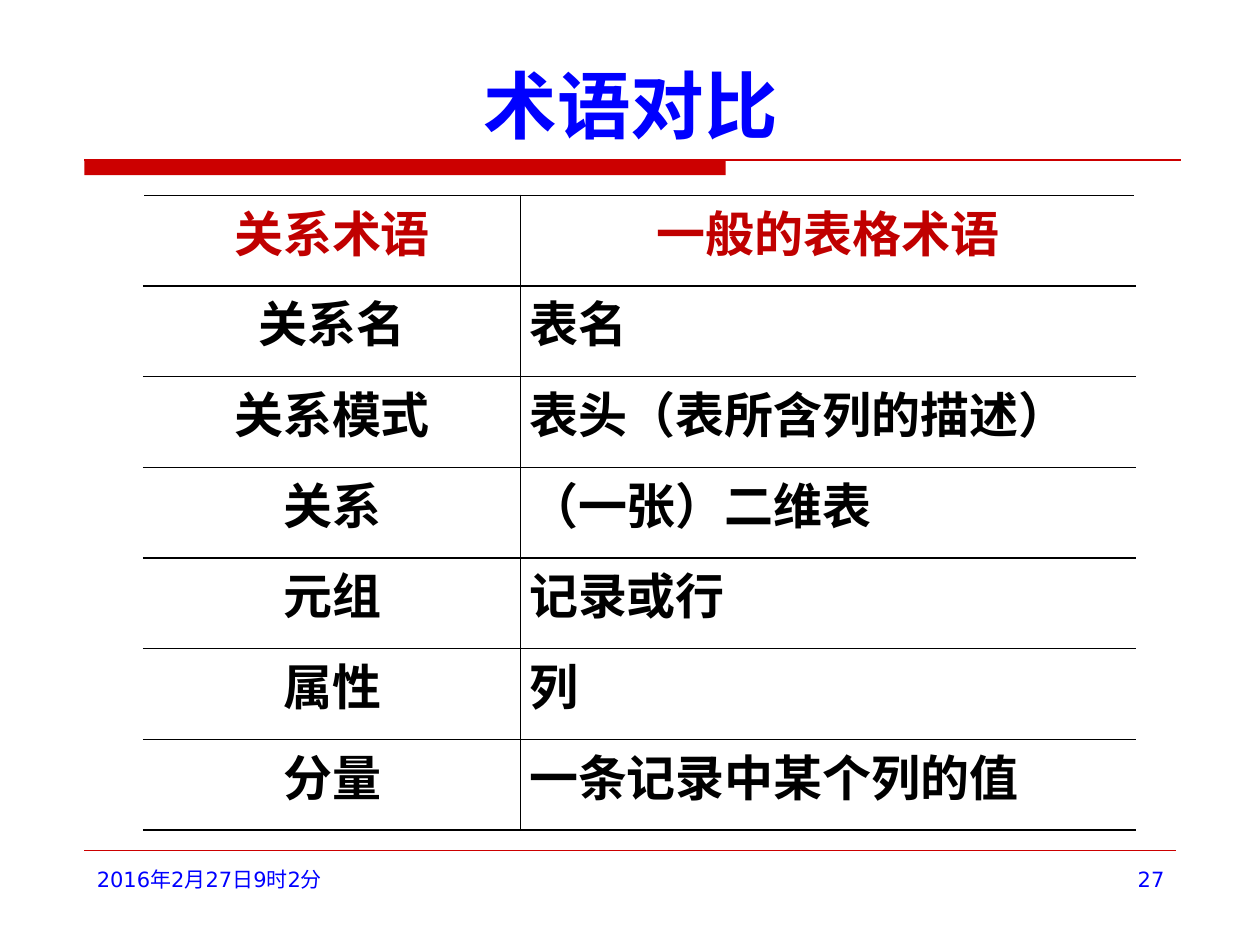
import pptx
import pptx.util
import pptx.dml.color
import pptx.enum.text
import pptx.enum.shapes
import pptx.oxml.ns
from lxml import etree

Inches, Pt = pptx.util.Inches, pptx.util.Pt
RGB = pptx.dml.color.RGBColor.from_string
ALIGN = pptx.enum.text.PP_ALIGN
ANCHOR = pptx.enum.text.MSO_ANCHOR
qn = pptx.oxml.ns.qn

COLORS = {"rule": "CC0000", "title": "0000FF", "head": "C00000", "body": "000000"}
CJK = "Noto Sans CJK SC"


def style(p, size, font, color, bold, align):
    p.alignment = align
    p.font.size = Pt(size)
    p.font.name = font
    p.font.bold = bold
    p.font.color.rgb = RGB(COLORS[color])
    latin = p.font._element.find(qn("a:latin"))
    ea = etree.Element(qn("a:ea"), typeface=CJK)
    latin.addnext(ea)


def border(cell, sides):
    tcPr = cell._tc.get_or_add_tcPr()
    for i, side in enumerate(sides):
        ln = etree.Element(qn("a:ln" + side), w=str(Pt(1)))
        fill = etree.SubElement(ln, qn("a:solidFill"))
        etree.SubElement(fill, qn("a:srgbClr"), val=COLORS["body"])
        tcPr.insert(i, ln)


prs = pptx.Presentation()
prs.slide_width, prs.slide_height = Inches(10), Inches(7.5)
s = prs.slides.add_slide(prs.slide_layouts[5])

bar = s.shapes.add_shape(pptx.enum.shapes.MSO_SHAPE.RECTANGLE,
                         Inches(0.67), Inches(1.27), Inches(5.09), Inches(0.12))
bar.shadow.inherit = False
bar.fill.solid()
bar.fill.fore_color.rgb = RGB(COLORS["rule"])
bar.line.fill.background()

for x2, y, width in [(9.37, 1.27, 0.75), (9.33, 6.75, 0.25)]:
    rule = s.shapes.add_connector(pptx.enum.shapes.MSO_CONNECTOR.STRAIGHT,
                                  Inches(0.67), Inches(y), Inches(x2), Inches(y))
    rule.line.color.rgb = RGB(COLORS["rule"])
    rule.line.width = Pt(width)
    etree.SubElement(rule._element.spPr, qn("a:effectLst"))

title = s.shapes.title
title.left, title.top = Inches(0.63), Inches(0.33)
title.width, title.height = Inches(8.75), Inches(0.9)
title.text_frame.text = "术语对比"
title.text_frame.vertical_anchor = ANCHOR.BOTTOM
style(title.text_frame.paragraphs[0], 42, CJK, "title", True, ALIGN.CENTER)

footers = [
    ("2016年2月27日9时2分", 0.67, 2.21, ALIGN.LEFT),
    ("27", 7.17, 2.17, ALIGN.RIGHT),
]
for text, x, width, align in footers:
    sp = s.shapes.add_textbox(Inches(x), Inches(6.83), Inches(width), Inches(0.52))
    tf = sp.text_frame
    tf.word_wrap = True
    tf.text = text
    style(tf.paragraphs[0], 12, "DejaVu Sans", "title", False, align)

terms = [
    ("关系术语", "一般的表格术语"),
    ("关系名", "表名"),
    ("关系模式", "表头（表所含列的描述）"),
    ("关系", "（一张）二维表"),
    ("元组", "记录或行"),
    ("属性", "列"),
    ("分量", "一条记录中某个列的值"),
]
frame = s.shapes.add_table(len(terms), 2, Inches(1.14), Inches(1.55),
                           Inches(7.87), Inches(5.04))
table = frame.table
table.first_row = table.horz_banding = False
table.columns[0].width, table.columns[1].width = Inches(2.99), Inches(4.88)
for i, row in enumerate(terms):
    table.rows[i].height = Inches(0.72)
    for j, text in enumerate(row):
        cell = table.cell(i, j)
        cell.text = text
        cell.margin_left = cell.margin_right = Inches(0.07)
        cell.margin_top = cell.margin_bottom = 0
        cell.vertical_anchor = ANCHOR.TOP
        cell.fill.background()
        border(cell, "LTB" if j else "RTB")
        p = cell.text_frame.paragraphs[0]
        p.space_after = Pt(1.6)
        style(p, 28, "Times New Roman", "body" if i else "head", True,
              ALIGN.LEFT if i and j else ALIGN.CENTER)

prs.save("out.pptx")
